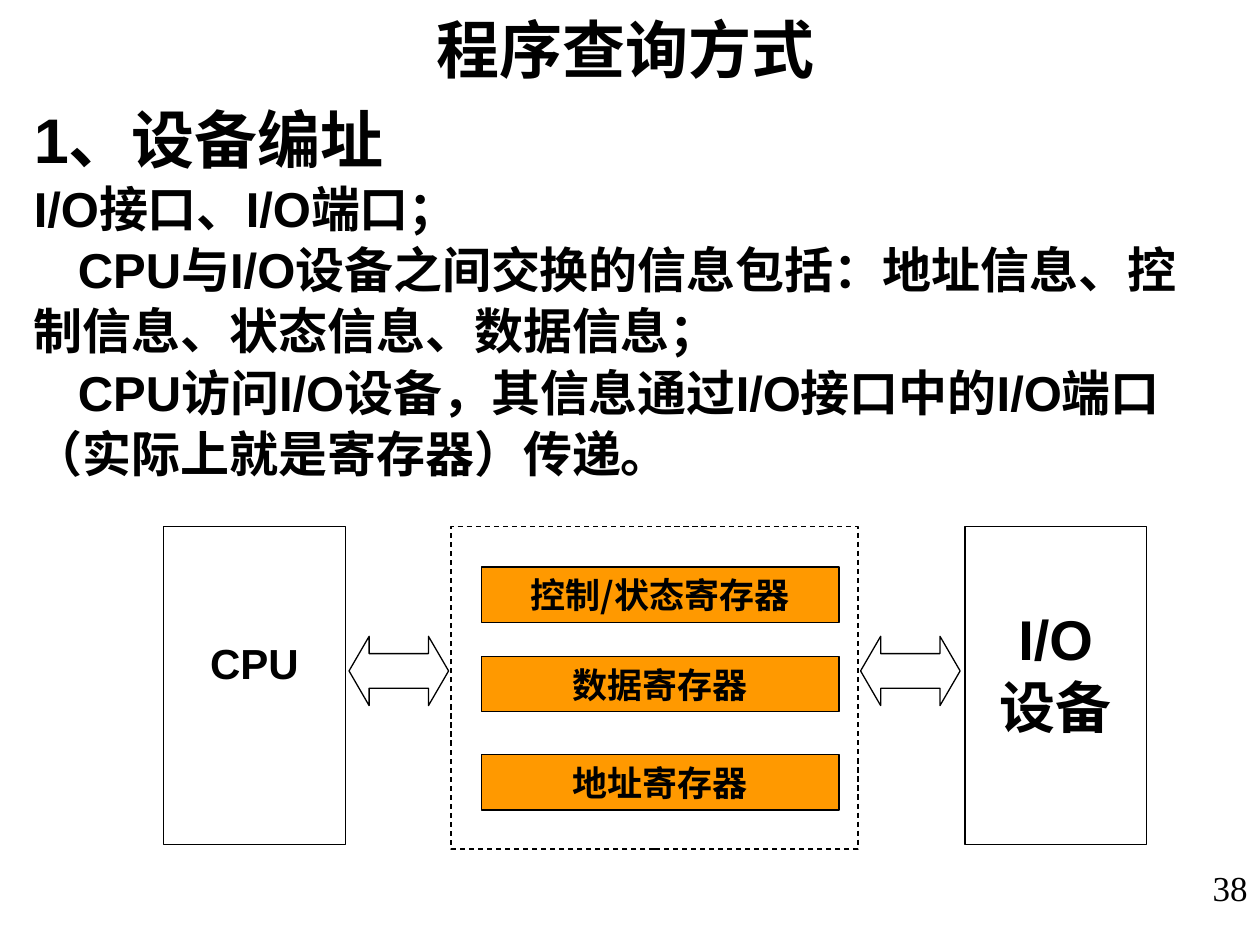
import pptx
import pptx.dml.color
import pptx.enum.dml
import pptx.enum.shapes
import pptx.enum.text
import pptx.oxml
import pptx.oxml.ns
import pptx.util

Inches = pptx.util.Inches
Pt = pptx.util.Pt
SHAPE = pptx.enum.shapes.MSO_SHAPE
ALIGN = pptx.enum.text.PP_ALIGN
ANCHOR = pptx.enum.text.MSO_ANCHOR
SANS = "Arial"
CJK = "Noto Sans CJK SC"


def color(fmt, value):
    """Set a colour format from a hex string."""
    fmt.rgb = pptx.dml.color.RGBColor.from_string(value)


def frame(tf, margins=(0.1, 0.05, 0.1, 0.05), anchor=ANCHOR.TOP, wrap=True):
    """Set the margins (left, top, right, bottom), anchor and wrapping of a text frame."""
    tf.margin_left, tf.margin_top, tf.margin_right, tf.margin_bottom = map(Inches, margins)
    tf.vertical_anchor = anchor
    tf.word_wrap = wrap


def write(p, text, size, font=CJK, bold=True, align=ALIGN.LEFT, spacing=None, indent=0):
    """Write one formatted run into a paragraph."""
    p.alignment = align
    if spacing:
        p.line_spacing = Pt(spacing)
    if indent:
        p._p.get_or_add_pPr().set("indent", str(Inches(indent)))
    r = p.add_run()
    r.text = text
    r.font.size = Pt(size)
    r.font.bold = bold
    r.font.name = font
    color(r.font.color, "000000")
    ea = pptx.oxml.parse_xml(f'<a:ea {pptx.oxml.ns.nsdecls("a")} typeface="{CJK}"/>')
    r.font._element.find(pptx.oxml.ns.qn("a:latin")).addnext(ea)


def add_block(shapes, kind, x, y, w, h, fill=None, dash=None):
    """Add an outlined preset shape."""
    sp = shapes.add_shape(kind, Inches(x), Inches(y), Inches(w), Inches(h))
    sp.shadow.inherit = False
    if fill:
        sp.fill.solid()
        color(sp.fill.fore_color, fill)
    else:
        sp.fill.background()
    color(sp.line.color, "000000")
    sp.line.width = Pt(0.75)
    if dash:
        sp.line.dash_style = dash
    return sp


def add_title(s, x, y, w, h):
    """Place and format the title placeholder."""
    title = s.shapes.title
    title.left, title.top, title.width, title.height = map(Inches, (x, y, w, h))
    frame(title.text_frame, anchor=ANCHOR.MIDDLE, wrap=False)
    write(title.text_frame.paragraphs[0], "程序查询方式", 36, align=ALIGN.CENTER)


def add_body(s, x, y, w, h):
    """Add the explanatory text."""
    tf = s.shapes.add_textbox(Inches(x), Inches(y), Inches(w), Inches(h)).text_frame
    frame(tf)
    lines = [
        ("1、设备编址", 36, 0),
        ("I/O接口、I/O端口；", 28, 0),
        ("CPU与I/O设备之间交换的信息包括：地址信息、控制信息、状态信息、数据信息；", 28, 0.35),
        ("CPU访问I/O设备，其信息通过I/O接口中的I/O端口（实际上就是寄存器）传递。", 28, 0.35),
    ]
    for i, (text, size, indent) in enumerate(lines):
        p = tf.add_paragraph() if i else tf.paragraphs[0]
        write(p, text, size, font=SANS, spacing=35, indent=indent)


def add_diagram(s, x, y, w, h):
    """Add the CPU, interface registers and device, joined by arrows."""
    shapes = s.shapes.add_group_shape().shapes
    side = 1.44
    ends = [
        (x, 0.88, 24, [("CPU", SANS)]),
        (x + w - side, 0.62, 32, [("I/O", SANS), ("设备", CJK)]),
    ]
    for left, top_margin, size, labels in ends:
        tf = add_block(shapes, SHAPE.RECTANGLE, left, y, side, h - 0.04).text_frame
        frame(tf, (0.1, top_margin, 0.1, 0.05))
        for i, (text, font) in enumerate(labels):
            p = tf.add_paragraph() if i else tf.paragraphs[0]
            write(p, text, size, font=font, align=ALIGN.CENTER)

    add_block(shapes, SHAPE.RECTANGLE, x + 2.28, y, 3.23, h,
              dash=pptx.enum.dml.MSO_LINE.DASH)
    registers = [("控制/状态寄存器", 0.32), ("数据寄存器", 1.03), ("地址寄存器", 1.81)]
    for text, dy in registers:
        sp = add_block(shapes, SHAPE.RECTANGLE, x + 2.52, y + dy, 2.84, 0.44, fill="FF9900")
        frame(sp.text_frame, (0.1, 0, 0.1, 0), ANCHOR.MIDDLE)
        write(sp.text_frame.paragraphs[0], text, 20, align=ALIGN.CENTER)

    for dx in (1.47, 5.53):
        arrow = add_block(shapes, SHAPE.LEFT_RIGHT_ARROW, x + dx, y + 0.87, 0.79, 0.55)
        arrow.adjustments[0] = 0.5
        arrow.adjustments[1] = 0.29


def add_page_number(s, x, y, w, h):
    """Add the page number at the right."""
    tf = s.shapes.add_textbox(Inches(x), Inches(y), Inches(w), Inches(h)).text_frame
    frame(tf)
    write(tf.paragraphs[0], "38", 20, font="Times New Roman", bold=False, align=ALIGN.RIGHT)


def main():
    """Build and save the slide."""
    prs = pptx.Presentation()
    prs.slide_width, prs.slide_height = Inches(10), Inches(7.5)
    s = prs.slides.add_slide(prs.slide_layouts[5])
    add_title(s, 3.35, 0.03, 3.23, 0.71)
    add_body(s, 0.17, 0.86, 9.64, 3.05)
    add_diagram(s, 1.3, 4.18, 7.8, 2.56)
    add_page_number(s, 0, 6.83, 10, 0.52)
    prs.save("out.pptx")


if __name__ == "__main__":
    main()
